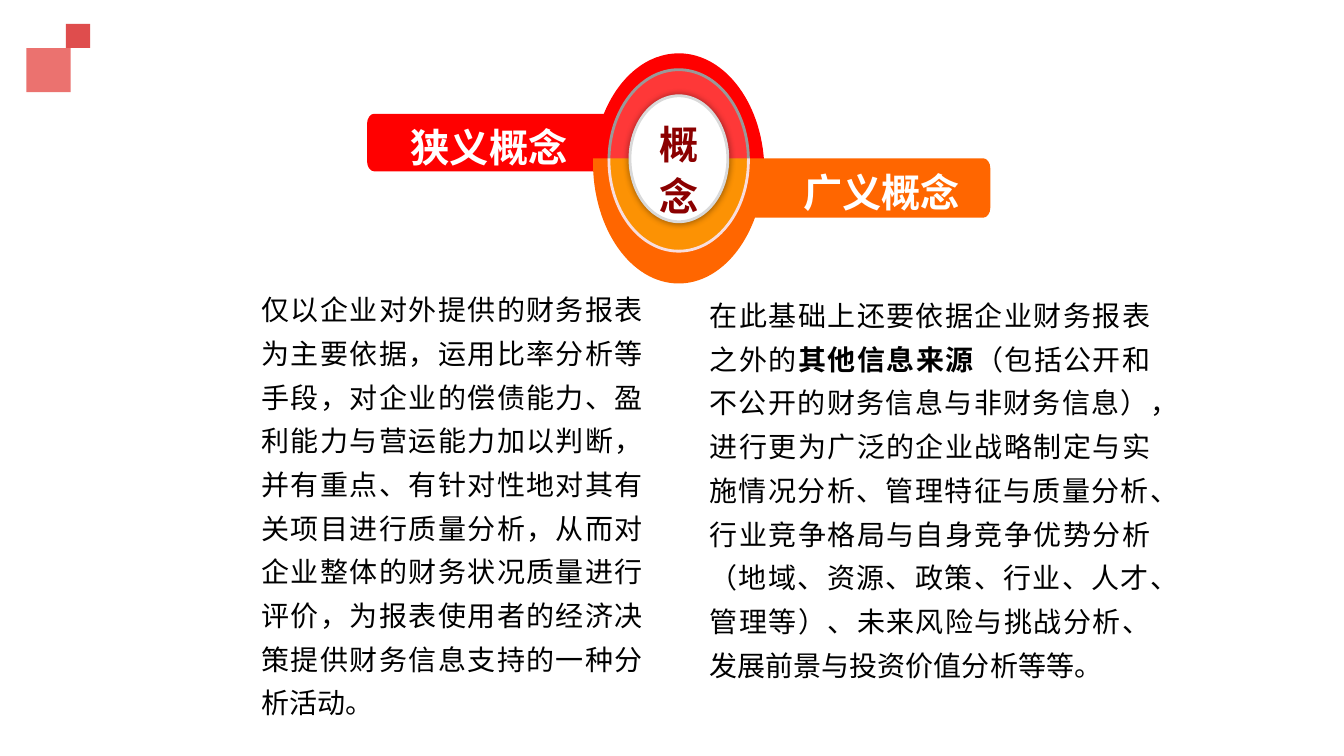
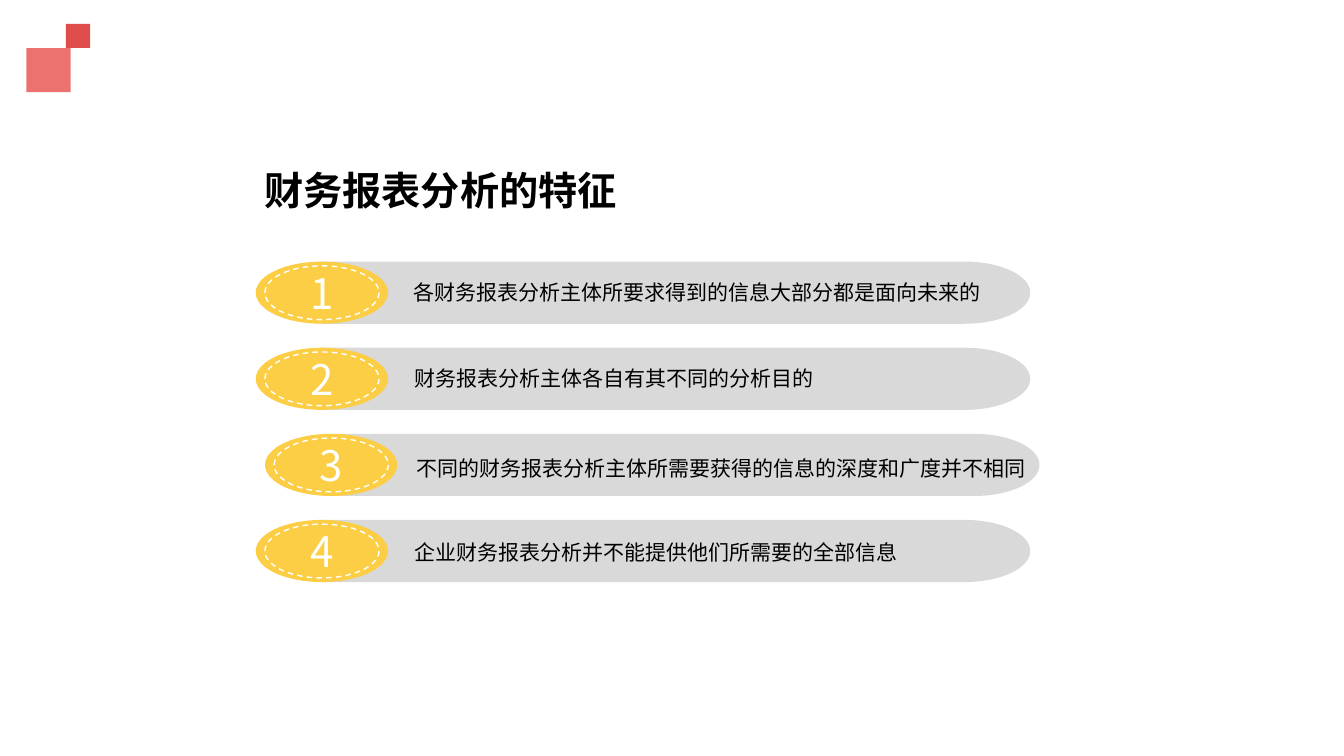
import math

from lxml import etree
from pptx import Presentation
from pptx.dml.color import RGBColor
from pptx.enum.dml import MSO_LINE
from pptx.enum.shapes import MSO_SHAPE
from pptx.enum.text import MSO_ANCHOR, MSO_AUTO_SIZE, PP_ALIGN
from pptx.oxml.ns import qn
from pptx.util import Pt

RECTANGLE, OVAL = MSO_SHAPE.RECTANGLE, MSO_SHAPE.OVAL
LEFT, CENTER, JUSTIFY = PP_ALIGN.LEFT, PP_ALIGN.CENTER, PP_ALIGN.JUSTIFY
MIDDLE, GROW, DASH = MSO_ANCHOR.MIDDLE, MSO_AUTO_SIZE.SHAPE_TO_FIT_TEXT, MSO_LINE.DASH

# All lengths are cells of a square grid laid over the slide.
COLUMNS, ROWS, CELL = 160, 90, Pt(6)
FONT = "Noto Sans CJK SC"
COLORS = {
    "black": "000000", "white": "FFFFFF", "gray": "D9D9D9", "yellow": "FBCE45",
    "pink": "EB726F", "rose": "DF4D4D", "dark red": "8B0000",
    "red": "FF0000", "light red": "FE3838", "silver": "999999",
    "orange": "FF6600", "light orange": "FC9204", "blush": "F8DDDD",
}

EMBLEM_X, EMBLEM_RADIUS, TAB_REACH = 80.8, 10.2, 37.1
RING_Y, RING_RADII, SEAM_Y = 19.1, (8.3, 10.8), 18.85
CORNER_X, CORNER_Y = 0.85, 1.2

NARROW = ("仅以企业对外提供的财务报表为主要依据，运用比率分析等手段，对企业的偿债能力、"
          "盈利能力与营运能力加以判断，并有重点、有针对性地对其有关项目进行质量分析，"
          "从而对企业整体的财务状况质量进行评价，为报表使用者的经济决策提供财务信息支持的"
          "一种分析活动。")
BROAD = ("在此基础上还要依据企业财务报表之外的", "其他信息来源",
         "（包括公开和不公开的财务信息与非财务信息），进行更为广泛的企业战略制定与实施情况分析、"
         "管理特征与质量分析、行业竞争格局与自身竞争优势分析（地域、资源、政策、行业、人才、"
         "管理等）、未来风险与挑战分析、发展前景与投资价值分析等等。")
# Text, shift of the row, left edge, width and drop of the text within the row
FEATURES = [
    ("各财务报表分析主体所要求得到的信息大部分都是面向未来的", 0, 48.1, 75.5, 0),
    ("财务报表分析主体各自有其不同的分析目的", 0, 48.2, 61.4, 0),
    ("不同的财务报表分析主体所需要获得的信息的深度和广度并不相同", 1.1, 48.4, 75.4, 0.45),
    ("企业财务报表分析并不能提供他们所需要的全部信息", 0, 48.2, 65.2, 0.25),
]


def cells(*lengths):
    return [round(length * CELL) for length in lengths]


def rgb(name):
    return RGBColor.from_string(COLORS[name])


def paint(shape, fill=None, line=None, weight=2, dash=None):
    shape.shadow.inherit = False
    if fill:
        shape.fill.solid()
        shape.fill.fore_color.rgb = rgb(fill)
    else:
        shape.fill.background()
    if line:
        shape.line.color.rgb = rgb(line)
        shape.line.width = Pt(weight)
        if dash:
            shape.line.dash_style = dash
    else:
        shape.line.fill.background()
    return shape


def add_preset(page, preset, area, **style):
    return paint(page.shapes.add_shape(preset, *cells(*area)), **style)


def add_outline(page, steps, closed=True, **style):
    """Draw steps of one point as straight lines and of three points as curves."""
    start, *others = [cells(*point) for step in steps for point in step]
    builder = page.shapes.build_freeform(*start)
    builder.add_line_segments(others, close=closed)
    shape = builder.convert_to_shape()
    segments = iter(list(shape.element.iter(qn("a:lnTo"))))
    for step in steps[1:]:
        first, *rest = [next(segments) for point in step]
        if rest:
            first.tag = qn("a:cubicBezTo")
            for segment in rest:
                first.append(segment[0])
                segment.getparent().remove(segment)
    return paint(shape, **style)


def arc(x, y, radii, start, end):
    """Steps along an ellipse, with angles in degrees running clockwise from the right."""
    def place(angle, pull=0.0):
        turn = math.radians(angle)
        return (x + radii[0] * (math.cos(turn) - pull * math.sin(turn)),
                y + radii[1] * (math.sin(turn) + pull * math.cos(turn)))

    steps = [[place(start)]]
    while start < end:
        stop = min(end, (start // 90 + 1) * 90)
        pull = 4 / 3 * math.tan(math.radians(stop - start) / 4)
        steps.append([place(start, pull), place(stop, -pull), place(stop)])
        start = stop
    return steps


def write(shape, spans, size, color, bold=False, align=LEFT, spacing=1.0):
    """Fill a shape with one paragraph; every second span is emphasised."""
    para = shape.text_frame.paragraphs[0]
    para.alignment, para.line_spacing = align, spacing
    font = para.font
    font.size, font.bold, font.name = Pt(size), bold, FONT
    font.color.rgb = rgb(color)
    properties = para._p.pPr.find(qn("a:defRPr"))
    etree.SubElement(properties, qn("a:ea"), typeface=FONT)
    for index, text in enumerate(spans):
        span = para.add_run()
        span.text = text
        if index % 2:
            span.font.bold = True


def add_text(page, area, *spans, **style):
    box = page.shapes.add_textbox(*cells(*area))
    box.text_frame.word_wrap = True
    box.text_frame.auto_size = GROW
    write(box, spans, **style)


def add_glow(shape):
    """Give the shape a soft shadow on all sides."""
    effects = shape.element.spPr.find(qn("a:effectLst"))
    shadow = etree.SubElement(effects, qn("a:outerShdw"), blurRad=str(Pt(5)), dist="0")
    color = etree.SubElement(shadow, qn("a:srgbClr"), val=COLORS["black"])
    etree.SubElement(color, qn("a:alpha"), val="40000")


def add_corner_squares(deck, layout):
    """Put the two squares on the layout, so that every page shows them."""
    page = deck.slides.add_slide(layout)
    for left, top, side, fill in [(3.15, 5.73, 5.25, "pink"), (7.85, 2.83, 2.87, "rose")]:
        square = add_preset(page, RECTANGLE, (left, top, side, side), fill=fill)
        layout.element.cSld.spTree.append(square.element)
    return page


def add_half_emblem(page, side, y, radius, near, far, fill):
    """Half an oval with a tab; side is -1 for up and left, 1 for down and right."""
    turn = 0 if side > 0 else 180
    corner = EMBLEM_X + side * (TAB_REACH - CORNER_X)
    corner_radii = CORNER_X, CORNER_Y
    meeting = math.degrees(math.asin(side * (far - y) / radius))
    add_outline(page, [
        [(EMBLEM_X - side * EMBLEM_RADIUS, near)],
        *arc(corner, near + side * CORNER_Y, corner_radii, turn - 90, turn),
        *arc(corner, far - side * CORNER_Y, corner_radii, turn, turn + 90),
        *arc(EMBLEM_X, y, (EMBLEM_RADIUS, radius), turn + meeting, turn + 180),
    ], fill=fill)


def add_emblem(page):
    add_half_emblem(page, -1, 20.4, 14.05, 20.4, 13.55, "red")
    add_half_emblem(page, 1, 19.35, 14.4, SEAM_Y, 25.92, "orange")
    add_outline(page, arc(EMBLEM_X, RING_Y, RING_RADII, 180, 360),
                fill="light red", line="silver")
    right, left = EMBLEM_X + RING_RADII[0], EMBLEM_X - RING_RADII[0]
    lower = arc(EMBLEM_X, RING_Y, RING_RADII, 0, 180)
    add_outline(page, [[(right, SEAM_Y)], *lower, [(left, SEAM_Y)]], closed=False,
                fill="light orange", line="blush")
    add_glow(add_preset(page, OVAL, (75, 11.4, 11.65, 15), fill="white", line="gray"))


def build_concepts(page):
    add_emblem(page)
    label = dict(size=28, bold=True, align=CENTER, spacing=1.1)
    add_text(page, (75, 13.2, 11.65, 13.7), "概念", color="dark red", **label)
    add_text(page, (45.8, 13.55, 24.85, 7), "狭义概念", color="white", **label)
    add_text(page, (92, SEAM_Y, 25.9, 7), "广义概念", color="white", **label)
    body = dict(size=20, color="black", align=JUSTIFY, spacing=1.3)
    add_text(page, (29.9, 33.05, 47.85, 53.8), NARROW, **body)
    add_text(page, (83.3, 33.75, 54.85, 48), *BROAD, **body)


def add_feature(page, number, top, text, shift, text_left, text_width, drop):
    left, width, height = 30.45 + shift, 15.75, 7.4
    cap = arc(114.85 + shift, top + height / 2, (7.8, height / 2), -90, 90)
    start = left + width / 2
    add_outline(page, [[(start, top)], *cap, [(start, top + height)]], fill="gray")
    badge = add_preset(page, OVAL, (left, top, width, height), fill="yellow")
    badge.text_frame.vertical_anchor = MIDDLE
    write(badge, [str(number)], size=30, color="white", align=CENTER)
    inset_x, inset_y = 1.08, 0.5
    add_preset(page, OVAL, (left + inset_x, top + inset_y,
                            width - 2 * inset_x, height - 2 * inset_y),
               line="white", weight=1, dash=DASH)
    add_text(page, (text_left, top + drop, text_width, 5.2), text,
             size=15, color="black", spacing=1.5)


def build_features(page):
    add_text(page, (30.3, 16.45, 67.2, 8.65), "财务报表分析的特征",
             size=28, color="black", bold=True, spacing=1.5)
    for index, feature in enumerate(FEATURES):
        add_feature(page, index + 1, 31.15 + index * 10.25, *feature)


def main():
    deck = Presentation()
    deck.slide_width, deck.slide_height = cells(COLUMNS, ROWS)
    blank = deck.slide_layouts[6]
    build_concepts(add_corner_squares(deck, blank))
    build_features(deck.slides.add_slide(blank))
    deck.save("out.pptx")


if __name__ == "__main__":
    main()
